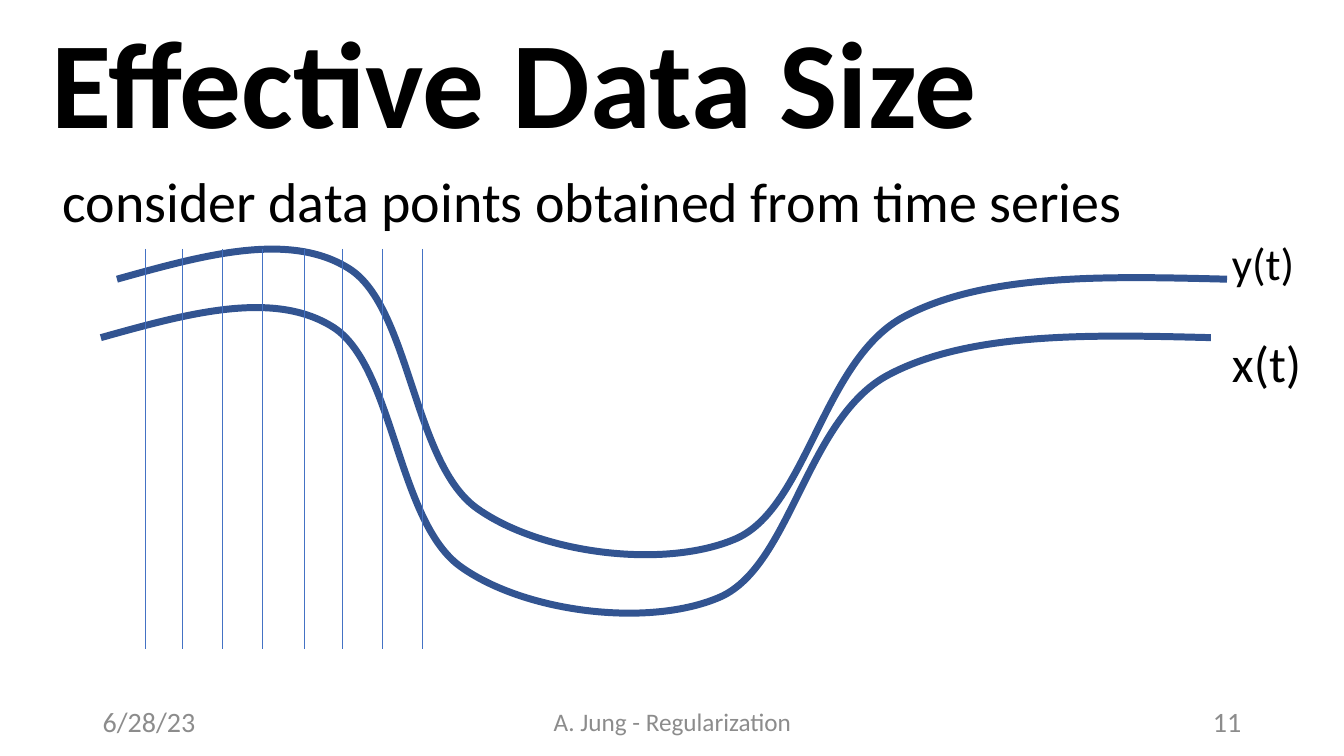
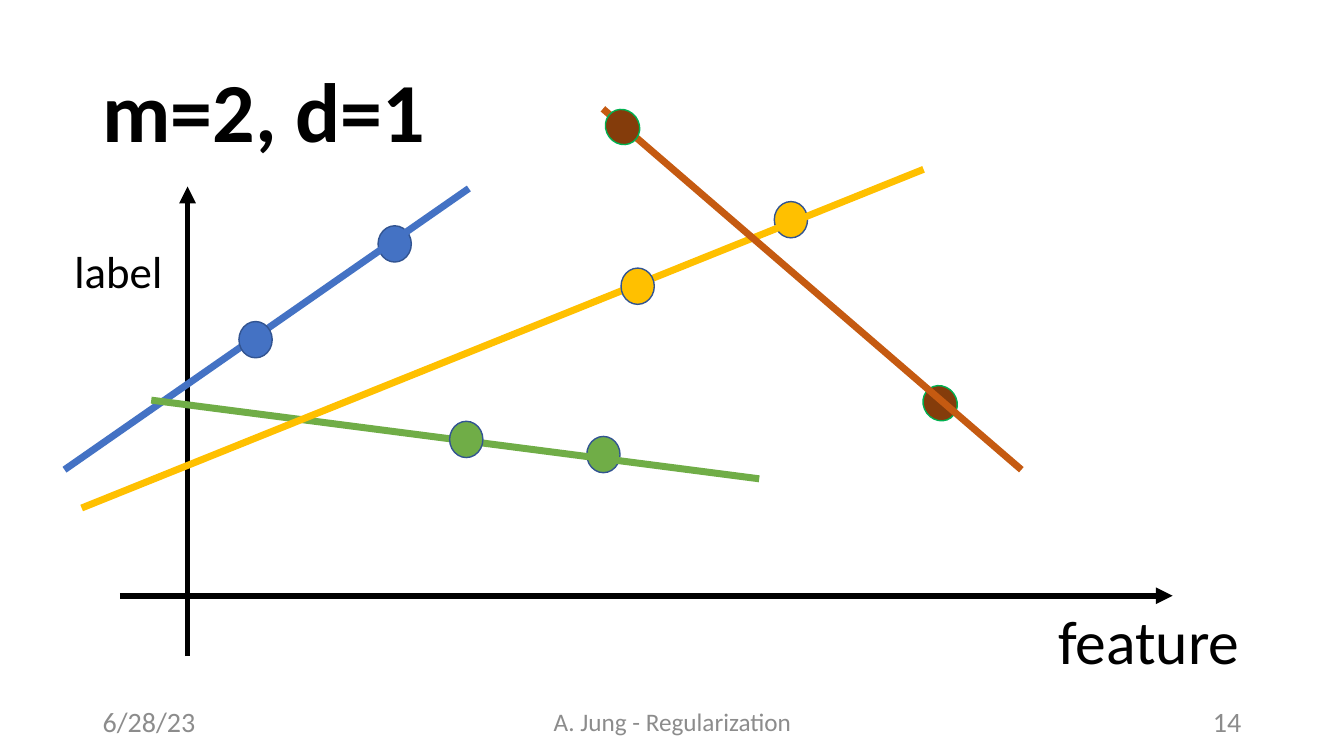
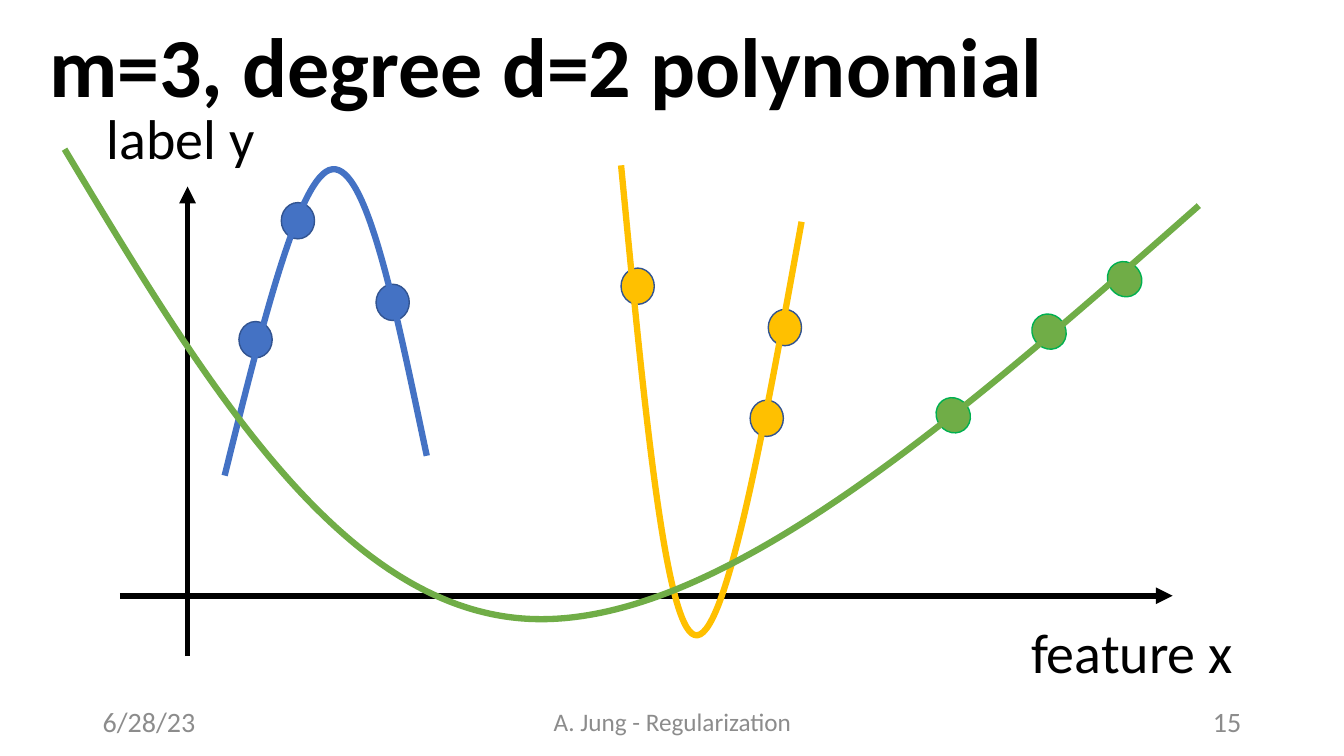
from pptx import Presentation
from pptx.dml.color import RGBColor
from pptx.enum import shapes, text
from pptx.oxml import xmlchemy
from pptx.util import Inches, Pt

COLORS = {
    "black": "000000", "grey": "8C8C8C", "blue": "4472C4", "navy": "325491",
    "green": "70AD47", "yellow": "FFC000", "brown": "843C0B",
    "rust": "C55A11", "rim": "00B050",
}
FONT = "Calibri"
LEFT, CENTER, RIGHT = text.PP_ALIGN.LEFT, text.PP_ALIGN.CENTER, text.PP_ALIGN.RIGHT
DATE, AUTHOR = "6/28/23", "A. Jung - Regularization"
FOOTER_TOP, FOOTER_HEIGHT = 6.96, 0.4
DOT_WIDTH, DOT_HEIGHT, DOT_TILT = 0.33, 0.36, 323.7
BOUND_STEPS = 40

SERIES = [
    (1, 3.35), (1.86, 3.11), (2.72, 2.87), (3.31, 3.25),
    (3.91, 3.64), (3.94, 5.19), (4.58, 5.63),
    (5.22, 6.08), (6.45, 6.23), (7.15, 5.92),
    (7.85, 5.6), (8, 4.15), (8.81, 3.72),
    (9.62, 3.29), (10.82, 3.32), (12.01, 3.35),
]
SERIES_SHIFTS = [(0, 0), (0.16, -0.58)]
SAMPLE_TIMES = [1.44, 1.81, 2.21, 2.6, 3.02, 3.4, 3.79, 4.19]
SAMPLE_TOP, SAMPLE_BOTTOM = 2.47, 6.44
SERIES_LABELS = [
    ("consider data points obtained from time series", (0.52, 1.6, 10.95, 0.77), 40),
    ("y(t)", (12.12, 2.29, 0.83, 0.64), 32),
    ("x(t)", (12.12, 3.25, 0.89, 0.71), 36),
]

AXES = [((1.19, 5.91), (11.63, 5.91)), ((1.86, 6.51), (1.86, 1.85))]

LINEAR_LABELS = [
    ("feature", (10.4, 5.93, 2.02, 0.84), 44),
    ("label", (0.64, 2.37, 1.08, 0.64), 32),
]
DOTS_BEHIND = [
    (3.75, 2.24, "blue", False), (5.82, 4.33, "green", False),
    (7.68, 2, "yellow", False), (9.16, 3.82, "brown", True),
]
FITTED_LINES = [
    ((0.64, 4.66), (4.65, 1.87), "blue"),
    ((1.5, 3.97), (7.53, 4.75), "green"),
    ((9.16, 1.68), (0.81, 5.04), "yellow"),
    ((10.13, 4.66), (5.98, 1.08), "rust"),
]
DOTS_IN_FRONT = [
    (2.37, 3.19, "blue", False), (6.16, 2.66, "yellow", False),
    (4.46, 4.18, "green", False), (6.01, 1.08, "brown", True),
]

PARABOLA_LABELS = [
    ("label y", (0.96, 0.98, 1.81, 0.77), 40),
    ("feature x", (10.13, 6.08, 2.35, 0.77), 40),
]
PARABOLA_DOTS = [
    (3.73, 2.82, "blue", False), (7.44, 3.97, "yellow", False), (9.29, 3.94, "green", True),
    (2.37, 3.19, "blue", False), (6.16, 2.66, "yellow", False), (10.24, 3.11, "green", True),
    (2.79, 2.01, "blue", False), (7.62, 3.07, "yellow", False), (10.99, 2.59, "green", True),
]
PARABOLAS = [
    ([(2.36, 4.81), (2.6, 3.29), (2.84, 1.75), (3.16, 1.69),
      (3.5, 1.62), (3.91, 3.03), (4.34, 4.44)], "blue", 5),
    ([(6.16, 1.64), (6.38, 3.92), (6.59, 6.21), (6.89, 6.3),
      (7.19, 6.39), (7.57, 4.3), (7.95, 2.2)], "yellow", 0),
    ([(0.64, 1.48), (2.01, 3.76), (3.37, 6.05), (5.25, 6.14),
      (7.12, 6.23), (9.51, 4.14), (11.89, 2.04)], "green", 0),
]


def rgb(color):
    return RGBColor.from_string(COLORS[color])


def set_line(shape, color, width):
    shape.line.color.rgb = rgb(color)
    shape.line.width = Pt(width)


def add_text(page, words, place, size, color="black", align=LEFT, bold=False,
             wrap=True, middle=True, spacing=None):
    box = page.shapes.add_textbox(*map(Inches, place))
    frame = box.text_frame
    frame.word_wrap = wrap
    frame.vertical_anchor = text.MSO_ANCHOR.MIDDLE if middle else text.MSO_ANCHOR.TOP
    para = frame.paragraphs[0]
    para.alignment = align
    para.line_spacing = spacing
    span = para.add_run()
    span.text = words
    span.font.name = FONT
    span.font.size = Pt(size)
    span.font.bold = bold
    span.font.color.rgb = rgb(color)
    return box


def add_labels(page, labels):
    for words, place, size in labels:
        box = add_text(page, words, place, size, wrap=False, middle=False)
        box.text_frame.auto_size = text.MSO_AUTO_SIZE.SHAPE_TO_FIT_TEXT


def add_child(parent, tag, **attributes):
    child = xmlchemy.OxmlElement(tag)
    for name, value in attributes.items():
        child.set(name, str(value))
    parent.append(child)
    return child


def add_line(page, start, end, color, width, arrow=False):
    line = page.shapes.add_connector(
        shapes.MSO_CONNECTOR.STRAIGHT, *map(Inches, (*start, *end)))
    set_line(line, color, width)
    properties = line._element.spPr
    if arrow:
        add_child(properties.ln, "a:tailEnd", type="triangle")
    add_child(properties, "a:effectLst")


def add_axes(page):
    for start, end in AXES:
        add_line(page, start, end, "black", 4, arrow=True)


def add_dots(page, dots):
    for left, top, color, tilted in dots:
        dot = page.shapes.add_shape(
            shapes.MSO_SHAPE.OVAL, *map(Inches, (left, top, DOT_WIDTH, DOT_HEIGHT)))
        dot.shadow.inherit = False
        dot.fill.solid()
        dot.fill.fore_color.rgb = rgb(color)
        set_line(dot, "rim" if tilted else "navy", 1)
        dot.rotation = DOT_TILT if tilted else 0


def bezier(controls, t):
    weights = ((1 - t) ** 3, 3 * t * (1 - t) ** 2, 3 * t ** 2 * (1 - t), t ** 3)
    return tuple(Inches(sum(w * c for w, c in zip(weights, axis))) for axis in zip(*controls))


def add_curve(page, knots, color, width, rotation=0):
    starts = range(0, len(knots) - 1, 3)
    bounds = [bezier(knots[i:i + 4], step / BOUND_STEPS)
              for i in starts for step in range(1, BOUND_STEPS + 1)]
    builder = page.shapes.build_freeform(*map(Inches, knots[0]))
    builder.add_line_segments(bounds, close=False)
    curve = builder.convert_to_shape()

    outline = curve._element.xpath(".//a:path")[0]
    for segment in list(outline):
        outline.remove(segment)
    pieces = [("a:moveTo", knots[:1])]
    pieces += [("a:cubicBezTo", knots[i + 1:i + 4]) for i in starts]
    for tag, points in pieces:
        segment = add_child(outline, tag)
        for x, y in points:
            add_child(segment, "a:pt", x=Inches(x) - curve.left, y=Inches(y) - curve.top)

    curve.rotation = rotation
    curve.shadow.inherit = False
    curve.fill.background()
    set_line(curve, color, width)


def add_page(deck, title, place, size, number):
    page = deck.slides.add_slide(deck.slide_layouts[6])
    add_text(page, title, place, size, bold=True, spacing=0.9)
    for words, left, width, points, align in (
            (DATE, 0.92, 3, 20, LEFT),
            (AUTHOR, 4.42, 4.5, 18, CENTER),
            (str(number), 9.41, 3, 20, RIGHT)):
        add_text(page, words, (left, FOOTER_TOP, width, FOOTER_HEIGHT), points, "grey", align)
    return page


def add_series_page(deck):
    page = add_page(deck, "Effective Data Size", (0.41, 0.15, 13.43, 1.45), 88, 11)
    for dx, dy in SERIES_SHIFTS:
        add_curve(page, [(x + dx, y + dy) for x, y in SERIES], "navy", 5)
    add_labels(page, SERIES_LABELS)
    for x in SAMPLE_TIMES:
        add_line(page, (x, SAMPLE_TOP), (x, SAMPLE_BOTTOM), "blue", 0.5)


def add_linear_page(deck):
    page = add_page(deck, "m=2, d=1", (0.92, 0.42, 11.5, 1.45), 60, 14)
    add_axes(page)
    add_labels(page, LINEAR_LABELS)
    add_dots(page, DOTS_BEHIND)
    for start, end, color in FITTED_LINES:
        add_line(page, start, end, color, 5)
    add_dots(page, DOTS_IN_FRONT)


def add_parabola_page(deck):
    page = add_page(deck, "m=3, degree d=2 polynomial", (0.39, -0.03, 11.5, 1.45), 60, 15)
    add_axes(page)
    add_dots(page, PARABOLA_DOTS)
    for knots, color, rotation in PARABOLAS:
        add_curve(page, knots, color, 4.5, rotation)
    add_labels(page, PARABOLA_LABELS)


def main():
    deck = Presentation()
    deck.slide_width, deck.slide_height = Inches(13.33), Inches(7.5)
    add_series_page(deck)
    add_linear_page(deck)
    add_parabola_page(deck)
    deck.save("out.pptx")


if __name__ == "__main__":
    main()
